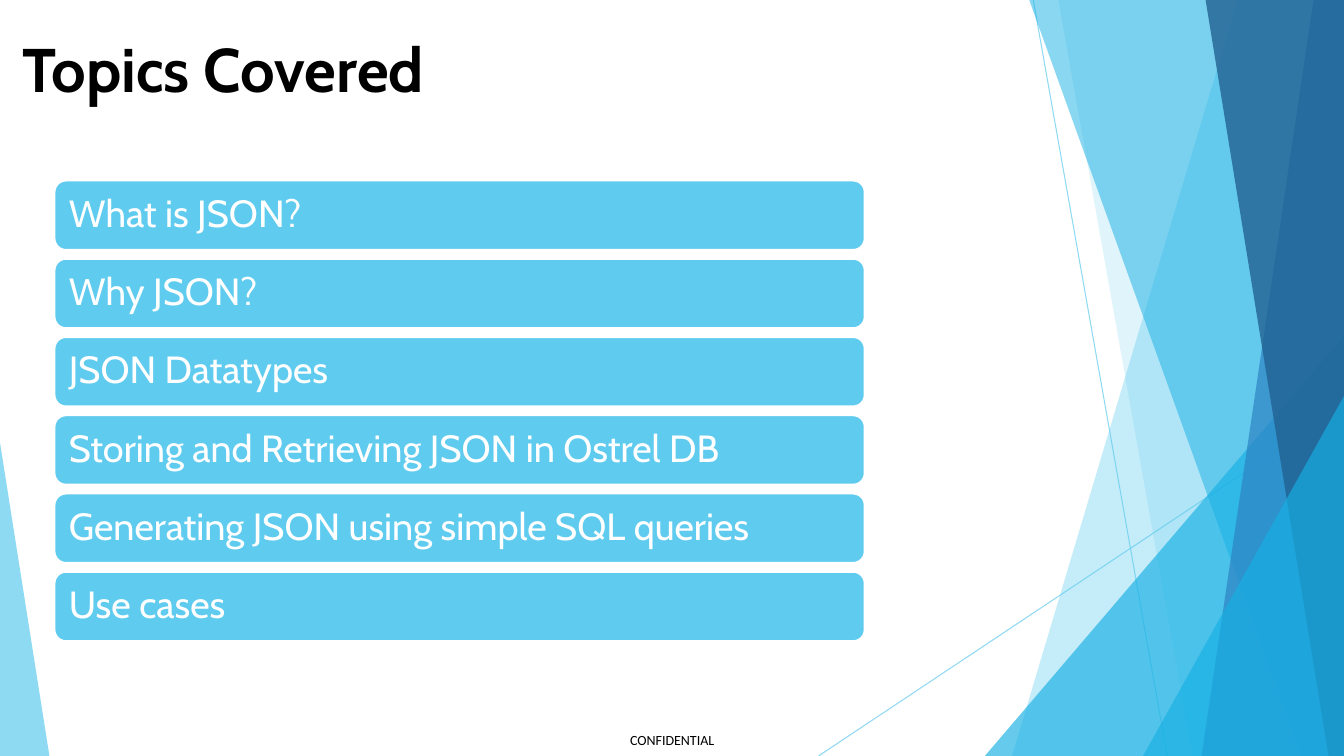
"""Build the "Topics Covered" agenda slide with its faceted side decoration."""
from lxml import etree
from pptx import Presentation
from pptx.dml.color import RGBColor
from pptx.enum.shapes import MSO_CONNECTOR, MSO_SHAPE
from pptx.enum.text import MSO_ANCHOR, PP_ALIGN
from pptx.oxml.ns import qn
from pptx.util import Inches, Pt

SKY = RGBColor(0x5F, 0xCB, 0xEF)
CYAN = RGBColor(0x17, 0xB0, 0xE4)
BLUE = RGBColor(0x2E, 0x83, 0xC3)
NAVY = RGBColor(0x22, 0x62, 0x92)
BLACK = RGBColor(0, 0, 0)
WHITE = RGBColor(0xFF, 0xFF, 0xFF)

prs = Presentation()
prs.slide_width, prs.slide_height = Inches(13.33), Inches(7.5)
s = prs.slides.add_slide(prs.slide_layouts[6])


def place(x, y):
    """Turn percentages of the slide's width and height into lengths."""
    return round(prs.slide_width * x / 100), round(prs.slide_height * y / 100)


def write(p, text, size, font, colour, bold=False):
    """Add one styled run to a paragraph."""
    r = p.add_run()
    r.text = text
    r.font.size, r.font.name, r.font.bold = Pt(size), font, bold
    r.font.color.rgb = colour


for start, end in [((76.88, 0), (86.85, 100)), ((100, 53.73), (60.9, 100))]:
    line = s.shapes.add_connector(MSO_CONNECTOR.STRAIGHT, *place(*start), *place(*end))
    line.line.width = Pt(0.75)
    line.line.color.rgb = SKY
    colour = line.line._ln.find(".//" + qn("a:srgbClr"))
    etree.SubElement(colour, qn("a:alpha"), val="70000")
    etree.SubElement(line._element.spPr, qn("a:effectLst"))

# Bands: x at the top, x at the bottom. Wedges: left, right, height of the tip.
facets = [
    ("band", (92.1, 75.3), SKY, 36),
    ("band", (78.75, 88.73), SKY, 20),
    ("wedge", (73.28, 100, 44.4), CYAN, 66),
    ("band", (76.58, 96.83), CYAN, 50),
    ("band", (97.73, 89.4), BLUE, 70),
    ("band", (89.7, 98.85), NAVY, 80),
    ("wedge", (85.05, 100, 52.4), CYAN, 66),
    ("wedge", (0, 3.68, 58.53), SKY, 70),
]
for kind, edges, fill, opacity in facets:
    if kind == "band":
        top, bottom = edges
        outline = s.shapes.build_freeform(*place(top, 0))
        outline.add_line_segments([place(100, 0), place(100, 100), place(bottom, 100)])
        sp = outline.convert_to_shape()
    else:
        left, right, tip = edges
        sp = s.shapes.add_shape(MSO_SHAPE.ISOSCELES_TRIANGLE, *place(left, tip),
                                *place(right - left, 100 - tip))
        sp.adjustments[0] = 1 if right == 100 else 0
    sp.shadow.inherit = False
    sp.line.fill.background()
    sp.fill.solid()
    sp.fill.fore_color.rgb = fill
    colour = sp._element.spPr.find(".//" + qn("a:srgbClr"))
    etree.SubElement(colour, qn("a:alpha"), val=str(opacity * 1000))

tf = s.shapes.add_textbox(*place(46.88, 96.8), *place(6.53, 2.27)).text_frame
tf.margin_left = tf.margin_right = tf.margin_top = tf.margin_bottom = 0
write(tf.paragraphs[0], "CONFIDENTIAL", 10, "Calibri", BLACK)

tf = s.shapes.add_textbox(*place(0.9, 4.53), *place(74.85, 10.8)).text_frame
tf.word_wrap = True
tf.paragraphs[0].line_spacing = 0.9
write(tf.paragraphs[0], "Topics Covered", 44, "Cabin", BLACK, bold=True)

topics = [
    "What is JSON?",
    "Why JSON?",
    "JSON Datatypes",
    "Storing and Retrieving JSON in Ostrel DB",
    "Generating JSON using simple SQL queries",
    "Use cases",
]
for row, topic in enumerate(topics):
    sp = s.shapes.add_shape(MSO_SHAPE.ROUNDED_RECTANGLE, *place(4.05, 23.87 + 10.35 * row),
                            *place(60.3, 9.2))
    sp.shadow.inherit = False
    sp.fill.solid()
    sp.fill.fore_color.rgb = SKY
    sp.line.color.rgb = WHITE
    sp.line.width = Pt(1.5)
    tf = sp.text_frame
    tf.word_wrap = True
    tf.vertical_anchor = MSO_ANCHOR.MIDDLE
    tf.margin_left = tf.margin_right = Inches(0.11)
    p = tf.paragraphs[0]
    p.alignment = PP_ALIGN.LEFT
    p.line_spacing = 0.9
    write(p, topic, 27, "Cabin", WHITE)

prs.save("out.pptx")
